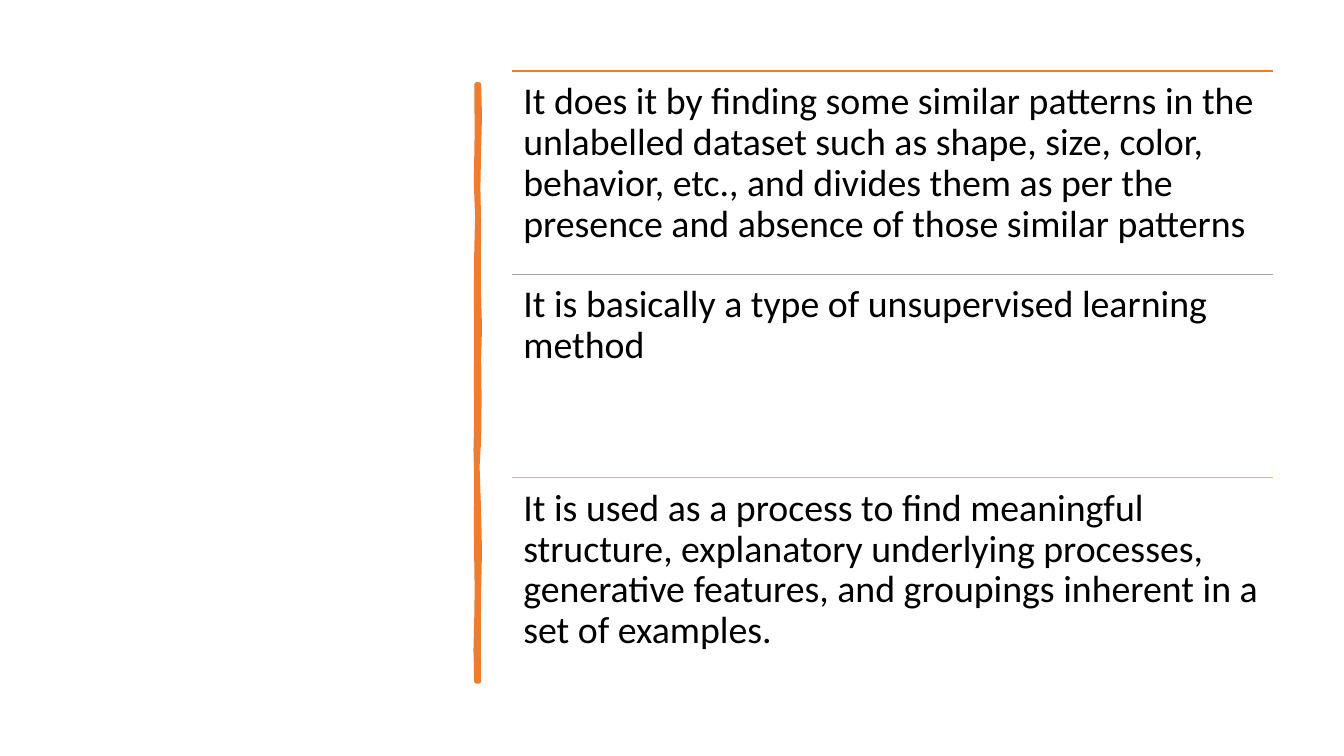
from lxml import etree
from pptx import Presentation
from pptx.dml.color import RGBColor
from pptx.enum.shapes import MSO_CONNECTOR
from pptx.enum.text import MSO_ANCHOR, PP_ALIGN
from pptx.oxml.ns import qn
from pptx.util import Cm, Pt

COLORS = {"orange": "ED7D31", "gray": "A5A5A5", "gold": "FFC000", "text": "000000"}

POINTS = [
    ("orange", "It does it by finding some similar patterns in the unlabelled dataset such as shape, size, color, behavior, etc., and divides them as per the presence and absence of those similar patterns"),
    ("gray", "It is basically a type of unsupervised learning method"),
    ("gold", "It is used as a process to find meaningful structure, explanatory underlying processes, generative features, and groupings inherent in a set of examples."),
]

BAR_RIGHT = [
    (12.07, 2.13), (12.09, 2.92), (12.07, 3.71), (12.05, 4.72), (12.07, 5.74),
    (12.06, 6.6), (12.07, 7.47), (12.09, 8.26), (12.07, 9.04), (12.08, 10.06),
    (12.07, 11.07), (12.03, 11.75), (12.07, 12.95), (12.09, 13.9), (12.07, 14.83),
    (12.06, 16.0), (12.07, 17.17),
]
BAR_LEFT = [
    (12.01, 17.17), (11.99, 16.38), (12.01, 15.57), (12.02, 14.86), (12.01, 14.15),
    (12.0, 13.13), (12.01, 12.12), (11.99, 11.33), (12.01, 10.54), (12.0, 9.53),
    (12.01, 8.51), (12.0, 7.43), (12.01, 6.35), (12.03, 5.46), (12.0, 4.6),
    (12.02, 3.3), (12.01, 2.13),
]

LEFT, TOP = 12.91, 1.79
WIDTH, ROW_HEIGHT = 19.18, 5.12
INSET = Cm(0.28)

prs = Presentation()
prs.slide_width = Cm(33.87)
prs.slide_height = Cm(19.05)
s = prs.slides.add_slide(prs.slide_layouts[6])

outline = [(Cm(x), Cm(y)) for x, y in BAR_RIGHT + BAR_LEFT]
builder = s.shapes.build_freeform(*outline[0], scale=1.0)
builder.add_line_segments(outline[1:], close=True)
bar = builder.convert_to_shape()
bar.shadow.inherit = False
bar.fill.solid()
bar.fill.fore_color.rgb = RGBColor.from_string(COLORS["orange"])
bar.line.color.rgb = RGBColor.from_string(COLORS["orange"])
bar.line.width = Pt(3.25)
ln = bar.line._get_or_add_ln()
ln.set("cap", "rnd")
etree.SubElement(ln, qn("a:round"))

for i, (color, text) in enumerate(POINTS):
    y = Cm(TOP + i * ROW_HEIGHT)
    rule = s.shapes.add_connector(MSO_CONNECTOR.STRAIGHT, Cm(LEFT), y, Cm(LEFT + WIDTH), y)
    rule.line.color.rgb = RGBColor.from_string(COLORS[color])
    rule.line.width = Pt(1)
    etree.SubElement(rule._element.spPr, qn("a:effectLst"))

    sp = s.shapes.add_textbox(Cm(LEFT), y, Cm(WIDTH), Cm(ROW_HEIGHT))
    tf = sp.text_frame
    tf.word_wrap = True
    tf.vertical_anchor = MSO_ANCHOR.TOP
    tf.margin_left = tf.margin_right = tf.margin_top = tf.margin_bottom = INSET
    tf.text = text
    p = tf.paragraphs[0]
    p.alignment = PP_ALIGN.LEFT
    p.line_spacing = 0.9
    r = p.runs[0]
    r.font.name = "Calibri"
    r.font.size = Pt(27)
    r.font.color.rgb = RGBColor.from_string(COLORS["text"])

prs.save("out.pptx")
